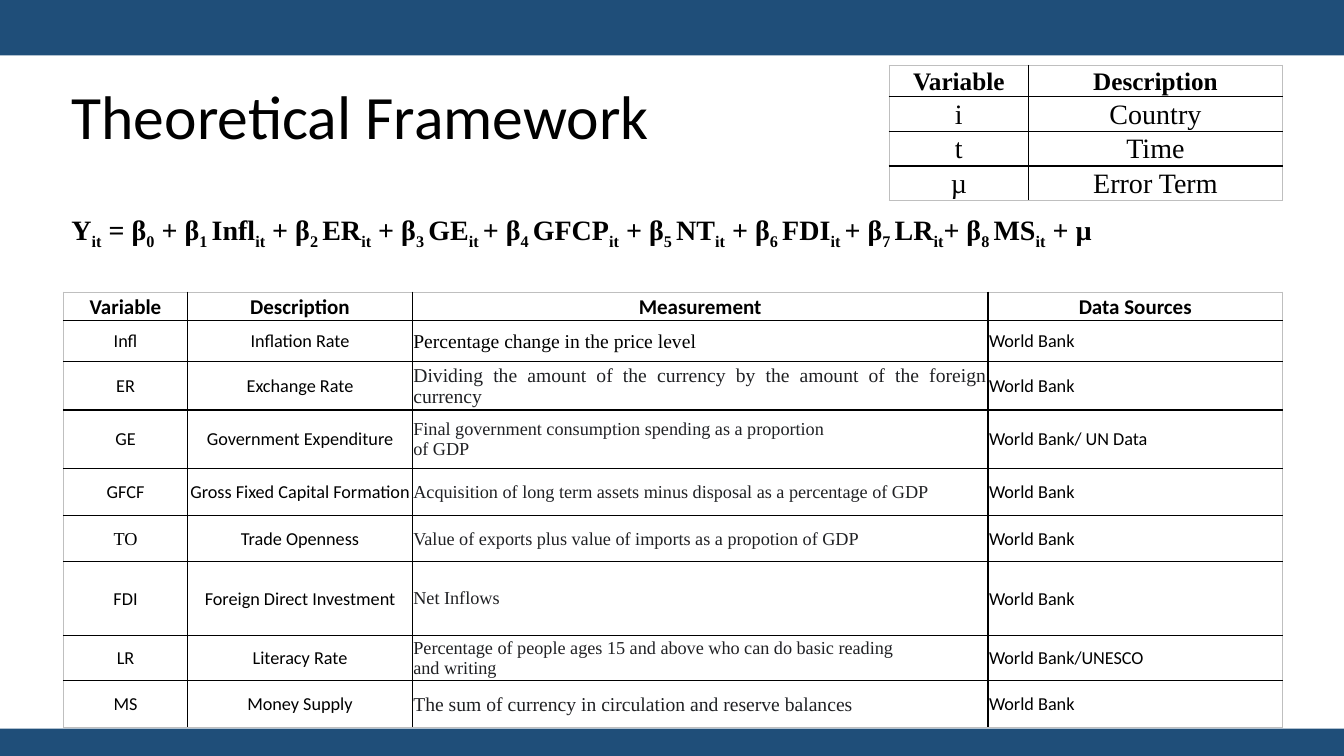
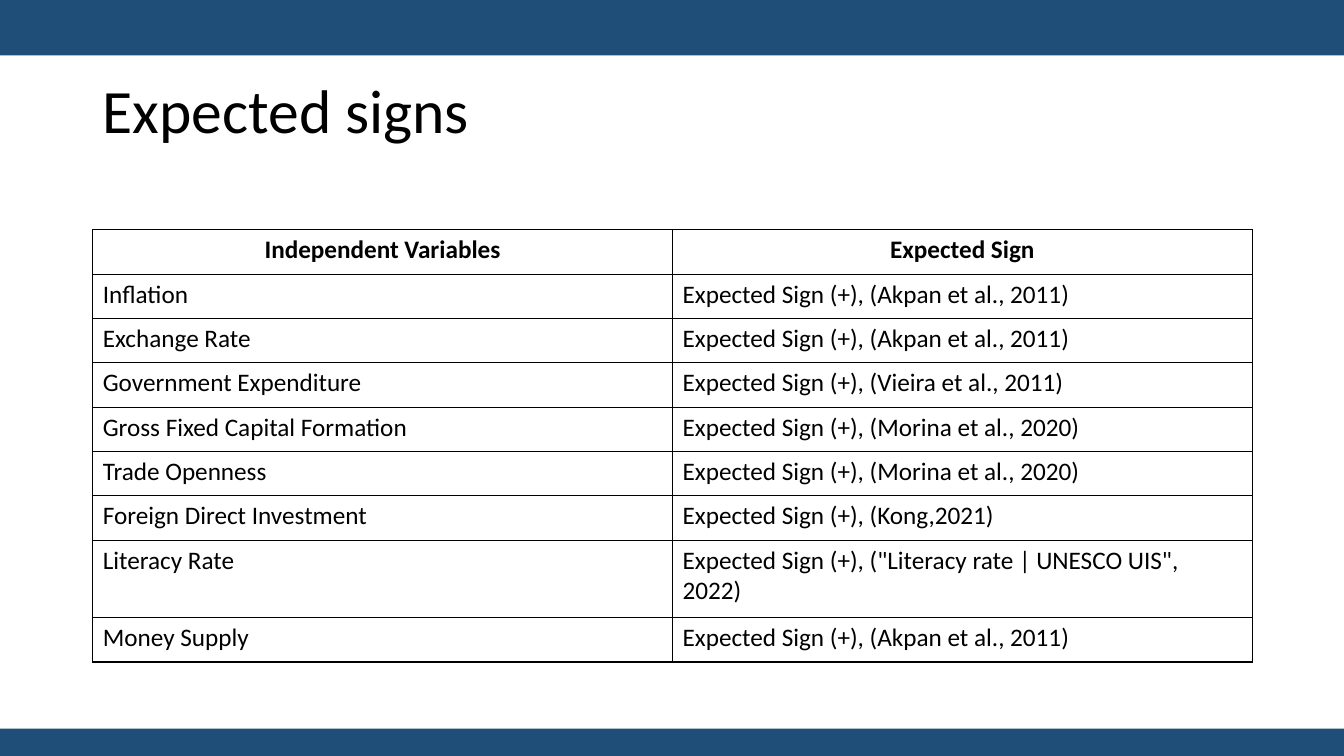
from dataclasses import dataclass
from pptx import Presentation
from pptx.dml.color import RGBColor as Rgb
from pptx.enum.shapes import MSO_SHAPE as Shape
from pptx.enum.text import MSO_ANCHOR as Anchor, MSO_AUTO_SIZE as Fit, PP_ALIGN as Align
from pptx.oxml import parse_xml
from pptx.oxml.ns import nsdecls
from pptx.util import Inches, Pt


@dataclass(frozen=True)
class Theme:
    band: str = "1F4E79"
    ink: str = "000000"
    soft: str = "202124"
    edge: str = "BFBFBF"
    sans: str = "Calibri"
    serif: str = "Times New Roman"
    title: int = 44
    large: int = 20
    body: int = 18
    head: int = 15
    note: int = 14
    small: int = 13


T = Theme()
WIDE, HIGH = 13.33, 7.5
BANDS = [(0, 0.55), (7.23, 0.27)]

MODEL = (
    "Y[it] = β[0] + β[1 ]Infl[it] + β[2 ]ER[it] + β[3 ]GE[it ]+ β[4 ]GFCP[it]"
    " + β[5 ]NT[it] + β[6 ]FDI[it ]+ β[7 ]LR[it]+ β[8 ]MS[it] + µ"
)
TERMS = [("Variable", "Description"), ("i", "Country"), ("t", "Time"), ("µ", "Error Term")]
DATA = [
    ("Variable", "Description", "Measurement", "Data Sources"),
    ("Infl", "Inflation Rate", "Percentage change in the price level", "World Bank"),
    ("ER", "Exchange Rate",
     "Dividing the amount of the currency by the amount of the foreign currency", "World Bank"),
    ("GE", "Government Expenditure",
     "Final government consumption spending as a proportion\nof GDP", "World Bank/ UN Data"),
    ("GFCF", "Gross Fixed Capital Formation",
     "Acquisition of long term assets minus disposal as a percentage of GDP", "World Bank"),
    ("TO", "Trade Openness",
     "Value of exports plus value of imports as a propotion of GDP", "World Bank"),
    ("FDI", "Foreign Direct Investment", "Net Inflows", "World Bank"),
    ("LR", "Literacy Rate",
     "Percentage of people ages 15 and above who can do basic reading\nand writing",
     "World Bank/UNESCO"),
    ("MS", "Money Supply",
     "The sum of currency in circulation and reserve balances", "World Bank"),
]
SIGNS = [
    ("Inflation", "Akpan et al., 2011"),
    ("Exchange Rate", "Akpan et al., 2011"),
    ("Government Expenditure", "Vieira et al., 2011"),
    ("Gross Fixed Capital Formation", "Morina et al., 2020"),
    ("Trade Openness", "Morina et al., 2020"),
    ("Foreign Direct Investment", "Kong,2021"),
    ("Literacy Rate", '"Literacy rate | UNESCO UIS", 2022'),
    ("Money Supply", "Akpan et al., 2011"),
]


def put(frame, text, size=T.body, font=T.sans, color=T.ink, bold=False,
        align=Align.LEFT, space=None):
    frame.word_wrap = True
    for n, line in enumerate(text.split("\n")):
        para = frame.add_paragraph() if n else frame.paragraphs[0]
        para.alignment = align
        para.line_spacing = space
        for k, part in enumerate(line.replace("]", "[").split("[")):
            run = para.add_run()
            run.text = part
            run.font.size = Pt(size)
            run.font.name = font
            run.font.bold = bold
            run.font.color.rgb = Rgb.from_string(color)
            if k % 2:
                run._r.get_or_add_rPr().set("baseline", "-25000")


def rule(cell, side, color):
    cell._tc.get_or_add_tcPr().append(parse_xml(
        f'<a:ln{side} {nsdecls("a")} w="12700"><a:solidFill>'
        f'<a:srgbClr val="{color}"/></a:solidFill></a:ln{side}>'))


def grid(slide, rows, left, top, cols, tall, style, edge=T.ink, tight=False):
    count, wide = len(rows), len(cols)
    table = slide.shapes.add_table(
        count, wide, Inches(left), Inches(top), Inches(sum(cols)), Inches(sum(tall))).table
    table.first_row = table.horz_banding = False
    for c, size in enumerate(cols):
        table.columns[c].width = Inches(size)
    for r, row in enumerate(rows):
        table.rows[r].height = Inches(tall[r])
        for c, text in enumerate(row):
            cell = table.cell(r, c)
            outer = {"L": c == 0, "R": c == wide - 1, "T": r == 0, "B": r == count - 1}
            for side, rim in outer.items():
                rule(cell, side, edge if rim else T.ink)
            cell.fill.background()
            if tight:
                cell.vertical_anchor = Anchor.MIDDLE
                cell.margin_left = cell.margin_right = cell.margin_top = Inches(0.01)
                cell.margin_bottom = 0
            put(cell.text_frame, text, **style(r, c))


def term(r, c):
    return dict(size=T.large if r else T.body, font=T.serif, bold=r == 0, align=Align.CENTER)


def datum(r, c):
    if r == 0:
        return dict(size=T.head, bold=True, align=Align.CENTER)
    look = dict(size=T.small, align=Align.CENTER if c < 2 else Align.JUSTIFY)
    if c == 2:
        look.update(font=T.serif, color=T.ink if r == 1 else T.soft,
                    size=T.note if r in (1, 2, 8) else T.small)
    elif DATA[r][c] == "TO":
        look.update(font=T.serif)
    return look


def sign(r, c):
    return dict(bold=r == 0, align=Align.LEFT if r else Align.CENTER)


def page(text, left, top):
    slide = deck.slides.add_slide(deck.slide_layouts[5])
    title = slide.shapes.title
    title.left, title.top, title.width, title.height = map(Inches, (left, top, 11.5, 1.45))
    frame = title.text_frame
    frame.vertical_anchor = Anchor.MIDDLE
    frame.auto_size = Fit.NONE
    put(frame, text, size=T.title, space=0.9)
    return slide


def bands(slide):
    tree = deck.slide_master.shapes.element
    for n, (top, tall) in enumerate(BANDS):
        bar = slide.shapes.add_shape(
            Shape.RECTANGLE, 0, Inches(top), Inches(WIDE), Inches(tall))
        bar.shadow.inherit = False
        bar.fill.solid()
        bar.fill.fore_color.rgb = Rgb.from_string(T.band)
        bar.line.fill.background()
        bar.element.xpath("p:nvSpPr/p:cNvPr")[0].set("id", str(20 + n))
        tree.insert(2 + n, bar.element)


deck = Presentation()
deck.slide_width, deck.slide_height = Inches(WIDE), Inches(HIGH)

frame = page("Theoretical Framework", 0.61, 0.46)
bands(frame)
box = frame.shapes.add_textbox(Inches(0.61), Inches(2.06), Inches(12.73), Inches(0.84))
put(box.text_frame, MODEL, size=T.large, font=T.serif, bold=True)
grid(frame, DATA, 0.63, 2.9, [1.23, 2.23, 5.71, 2.92],
     [0.28, 0.41, 0.41, 0.58, 0.47, 0.45, 0.74, 0.41, 0.47], datum, T.edge, True)
grid(frame, TERMS, 8.82, 0.65, [1.38, 2.52], [0.23] + [0.25] * 3, term, T.edge, True)

signs = page("Expected signs", 0.92, 0.4)
rows = [("Independent Variables", "Expected Sign")]
rows += [(name, f"Expected Sign (+), ({cite})") for name, cite in SIGNS]
grid(signs, rows, 0.92, 2.28, [5.75] * 2, [0.44] * 7 + [0.77, 0.44], sign)

deck.save("out.pptx")
